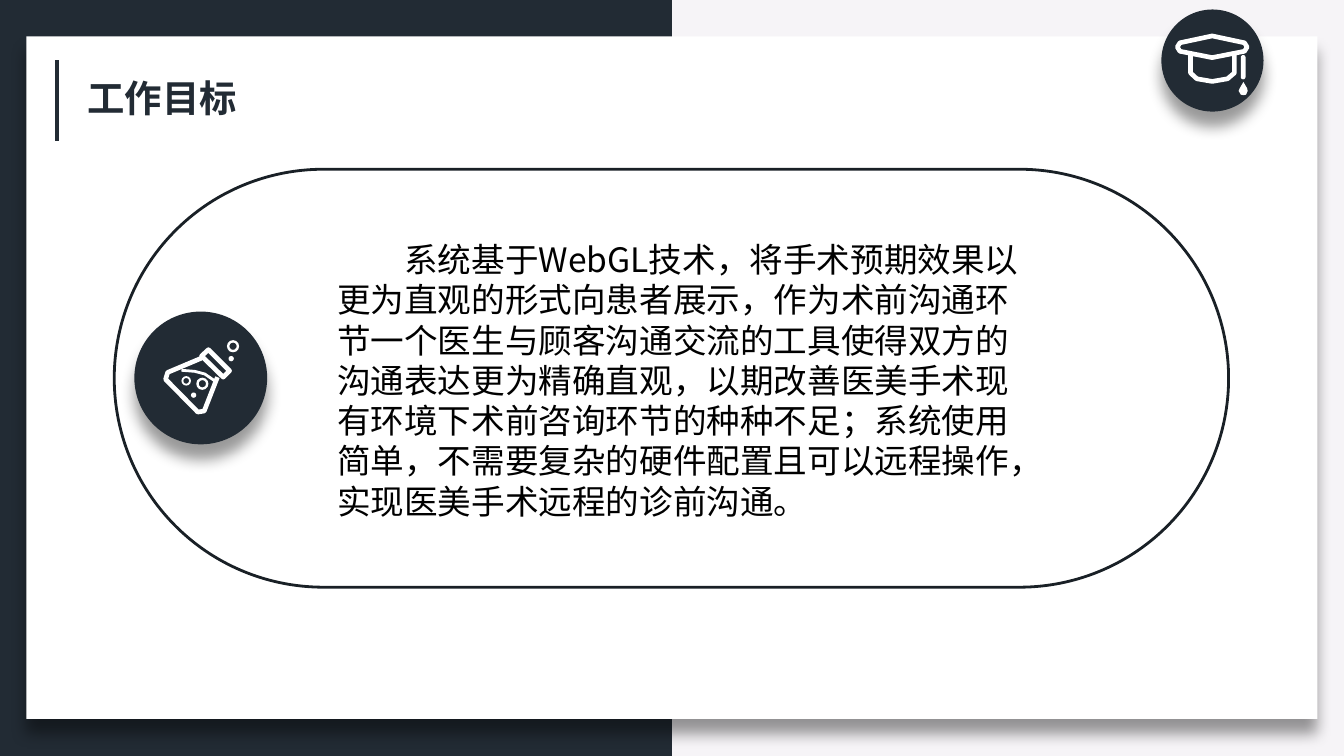
from lxml import etree
from pptx import Presentation
from pptx.dml.color import RGBColor
from pptx.enum.shapes import MSO_CONNECTOR, MSO_SHAPE as SHAPE
from pptx.enum.text import MSO_AUTO_SIZE as AUTO
from pptx.oxml import parse_xml
from pptx.oxml.ns import nsdecls, qn
from pptx.util import Cm, Pt

NAVY = RGBColor(0x22, 0x2B, 0x34)
INK = RGBColor(0x19, 0x20, 0x26)
PALE = RGBColor(0xF6, 0xF4, 0xF7)
WHITE = RGBColor(0xFF, 0xFF, 0xFF)
BLACK = RGBColor(0, 0, 0)
FONT = "Noto Sans CJK SC"

TITLE = "工作目标"
GOAL = ("系统基于WebGL技术，将手术预期效果以更为直观的形式向患者展示，"
        "作为术前沟通环节一个医生与顾客沟通交流的工具使得双方的沟通表达更为精确直观，"
        "以期改善医美手术现有环境下术前咨询环节的种种不足；"
        "系统使用简单，不需要复杂的硬件配置且可以远程操作，实现医美手术远程的诊前沟通。")

# Icon outlines, in centimetres
CAP_BOARD = [(22.91, 0.68), (23.52, 0.81), (23.57, 0.89), (23.52, 0.97),
             (22.91, 1.09), (22.3, 0.97), (22.25, 0.89), (22.3, 0.81)]
CAP_BASE = [(22.5, 1.04), (22.5, 1.38), (22.62, 1.49), (22.91, 1.54),
            (23.2, 1.49), (23.33, 1.38), (23.33, 1.04)]
TASSEL_DROP = [(23.5, 1.55), (23.57, 1.67), (23.58, 1.72), (23.55, 1.79),
               (23.5, 1.8), (23.45, 1.79), (23.41, 1.72), (23.43, 1.67)]
FLASK_BODY = [(3.81, 6.77), (3.17, 7.04), (3.13, 7.17), (3.74, 7.79),
              (3.86, 7.77), (4.11, 7.13)]
FLASK_NECK = [(3.81, 6.73), (3.94, 6.61), (4.34, 7.01), (4.22, 7.13)]
FLASK_LIQUID = [(3.43, 7), (3.68, 7.02), (3.87, 7.07), (4.06, 7.2)]


def paint(s, fill=None, line=None, width=1.5):
    s.shadow.inherit = False
    if fill is None:
        s.fill.background()
    else:
        s.fill.solid()
        s.fill.fore_color.rgb = fill
    if line is None:
        s.line.fill.background()
    else:
        s.line.color.rgb = line
        s.line.width = Pt(width)


def add_shape(slide, kind, box, adj=None, **style):
    s = slide.shapes.add_shape(kind, *map(Cm, box))
    paint(s, **style)
    if adj is not None:
        s.adjustments[0] = adj
    return s


def add_drop_shadow(s):
    effects = s._element.spPr.find(qn("a:effectLst"))
    effects.append(parse_xml(
        f'<a:outerShdw {nsdecls("a")} blurRad="{Pt(8)}" dist="{Pt(8)}" dir="5400000" '
        'algn="t" rotWithShape="0"><a:srgbClr val="000000"><a:alpha val="40000"/>'
        '</a:srgbClr></a:outerShdw>'))


def add_outline(slide, points, close=True, **style):
    start, *rest = [(Cm(x), Cm(y)) for x, y in points]
    builder = slide.shapes.build_freeform(*start)
    builder.add_line_segments(rest, close=close)
    s = builder.convert_to_shape()
    paint(s, **style)
    if style.get("line") is not None:
        etree.SubElement(s.line._get_or_add_ln(), qn("a:round"))


def add_text(slide, box, text, wrap, indent=0, **font):
    tf = slide.shapes.add_textbox(*map(Cm, box)).text_frame
    tf.word_wrap = wrap
    tf.auto_size = AUTO.SHAPE_TO_FIT_TEXT
    p = tf.paragraphs[0]
    p._p.get_or_add_pPr().set("indent", str(Cm(indent)))
    r = p.add_run()
    r.text = text
    color = font.pop("color")
    for name, value in {"name": FONT, **font}.items():
        setattr(r.font, name, value)
    r.font.color.rgb = color
    etree.SubElement(r._r.get_or_add_rPr(), qn("a:ea")).set("typeface", FONT)


def add_rule(slide, x, top, bottom):
    s = slide.shapes.add_connector(MSO_CONNECTOR.STRAIGHT, Cm(x), Cm(top), Cm(x), Cm(bottom))
    s.line.color.rgb = NAVY
    s.line.width = Pt(2.25)
    etree.SubElement(s._element.spPr, qn("a:effectLst"))


def add_badge(slide, x, y, size):
    add_drop_shadow(add_shape(slide, SHAPE.OVAL, (x, y, size, size), fill=NAVY))


def add_cap_icon(slide):
    add_badge(slide, 21.95, 0.18, 1.93)
    add_outline(slide, CAP_BASE, close=False, line=WHITE, width=2.5)
    add_outline(slide, CAP_BOARD, fill=NAVY, line=WHITE, width=2.5)
    add_shape(slide, SHAPE.ROUNDED_RECTANGLE, (23.45, 1.04, 0.09, 0.46), 0.5, fill=WHITE)
    add_outline(slide, TASSEL_DROP, fill=WHITE)


def add_flask_icon(slide):
    add_badge(slide, 2.54, 5.89, 2.51)
    add_outline(slide, FLASK_BODY, close=False, line=WHITE, width=2.5)
    add_outline(slide, FLASK_NECK, line=WHITE, width=2.5)
    add_outline(slide, FLASK_LIQUID, close=False, line=WHITE)
    for x, y, size in [(3.71, 7.14, 0.23), (4.29, 6.43, 0.23), (3.43, 7.11, 0.18)]:
        add_shape(slide, SHAPE.DONUT, (x, y, size, size), 0.2, fill=WHITE)
    for x, y in [(3.61, 7.42), (4.32, 6.73)]:
        add_shape(slide, SHAPE.OVAL, (x, y, 0.1, 0.1), fill=WHITE)


def main():
    prs = Presentation()
    prs.slide_width, prs.slide_height = Cm(25.4), Cm(14.29)
    slide = prs.slides.add_slide(prs.slide_layouts[6])

    # Two-tone background with a raised white card
    slide.background.fill.solid()
    slide.background.fill.fore_color.rgb = PALE
    add_shape(slide, SHAPE.RECTANGLE, (0, 0, 12.7, 14.29), fill=NAVY)
    add_drop_shadow(add_shape(slide, SHAPE.RECTANGLE, (0.5, 0.69, 24.4, 12.9), fill=WHITE))

    # Heading
    add_rule(slide, 1.08, 1.14, 2.67)
    add_cap_icon(slide)
    add_text(slide, (1.4, 1.3, 3.35, 1.12), TITLE, False, size=Pt(20), bold=True, color=NAVY)

    # Goal statement in its capsule
    add_shape(slide, SHAPE.ROUNDED_RECTANGLE, (2.16, 3.2, 21.06, 7.9), 0.5, line=INK)
    add_flask_icon(slide)
    add_text(slide, (6.12, 4.39, 13.67, 5.64), GOAL, True, indent=1.27, size=Pt(18), color=BLACK)

    prs.save("out.pptx")


if __name__ == "__main__":
    main()
